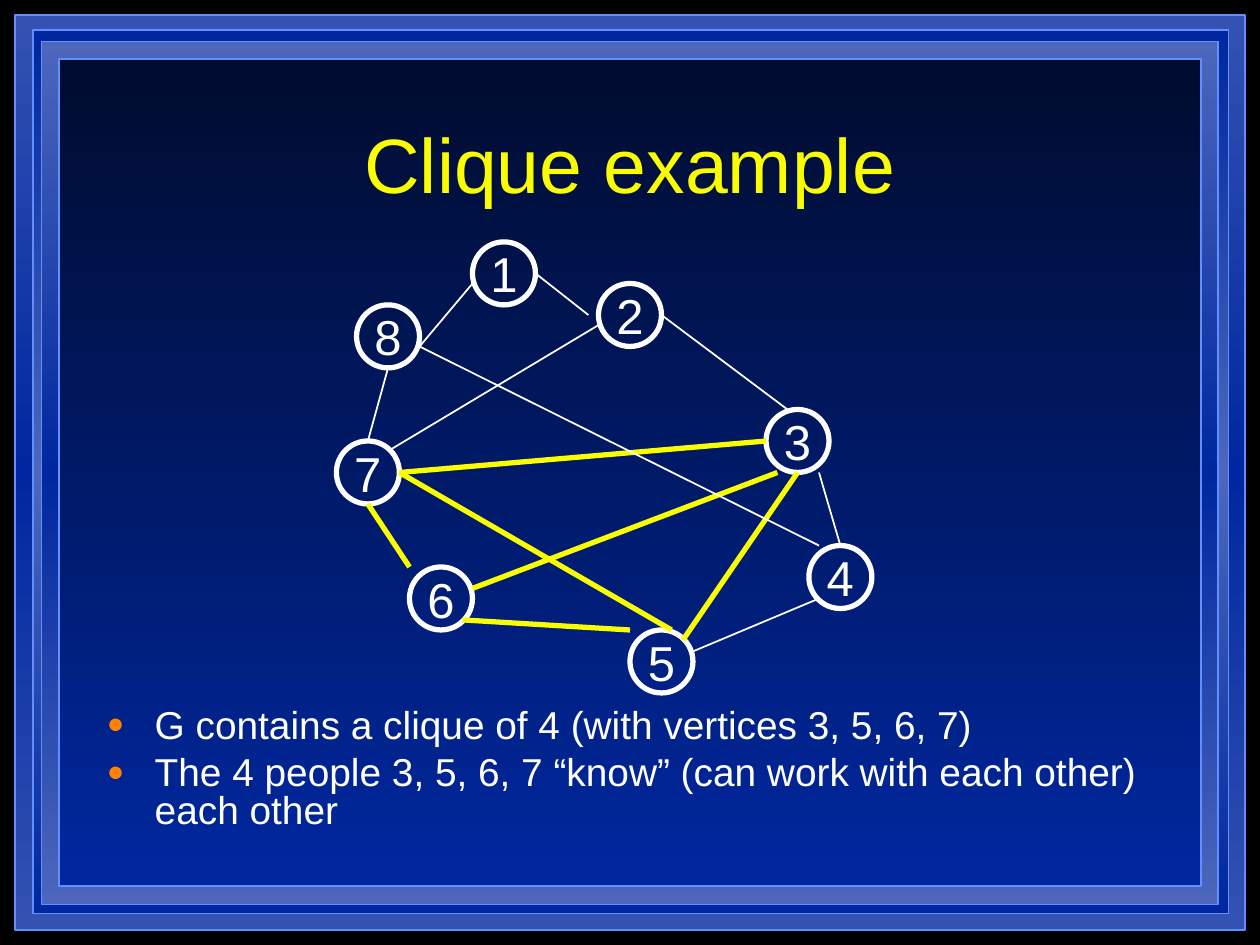
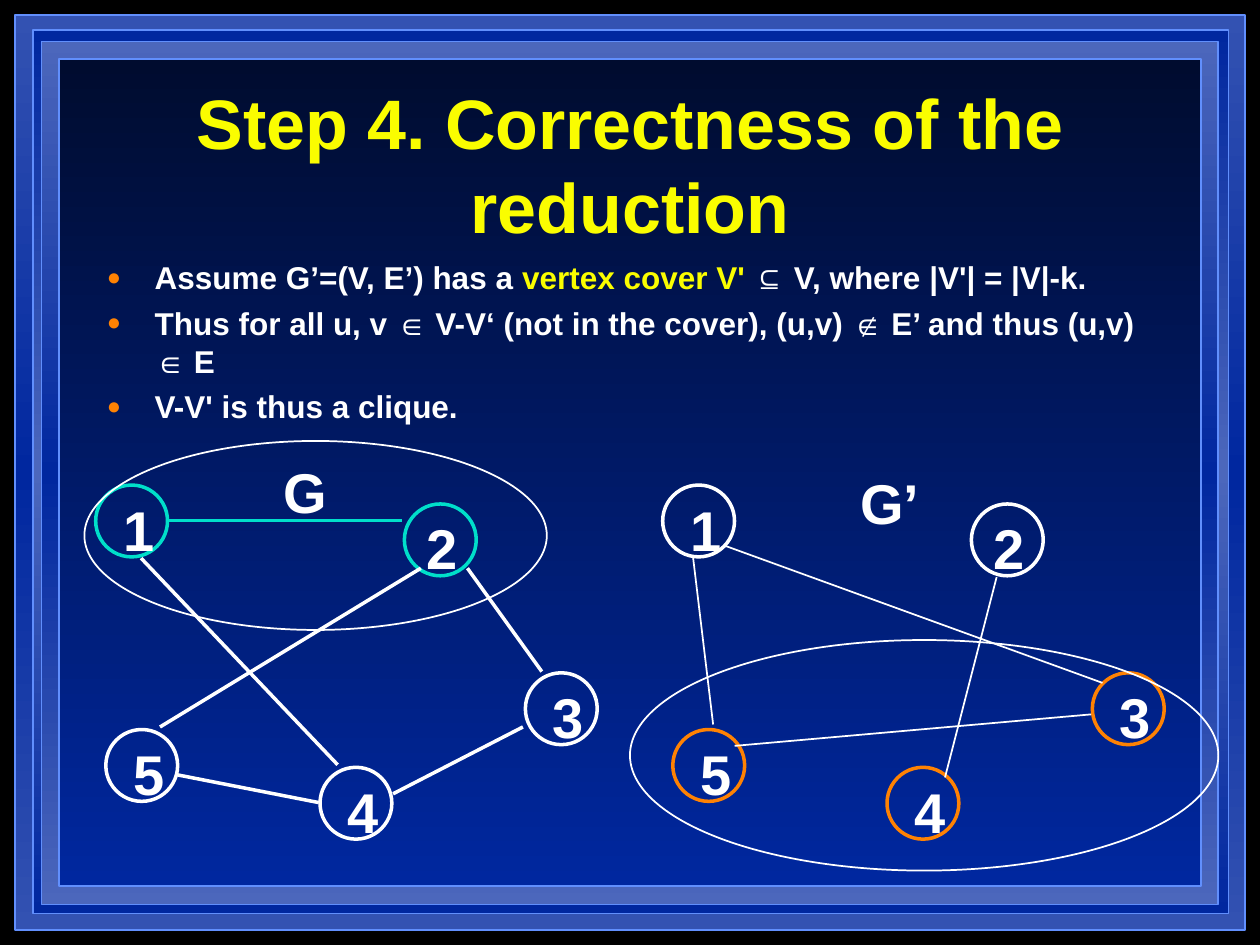
from copy import deepcopy
from pptx import Presentation
from pptx.dml.color import RGBColor
from pptx.enum import shapes as es, text as et
from pptx.oxml import ns, xmlchemy as xc
from pptx.util import Inches, Pt

BLACK = RGBColor(0x00, 0x00, 0x00)
WHITE = RGBColor(0xFF, 0xFF, 0xFF)
YELLOW = RGBColor(0xFA, 0xFD, 0x00)
ORANGE = RGBColor(0xFF, 0x82, 0x03)
TEAL = RGBColor(0x00, 0xDF, 0xCA)
RIM = RGBColor(0x61, 0x8F, 0xFD)
NAVY = RGBColor(0x00, 0x0C, 0x2F)
BLUE = RGBColor(0x00, 0x27, 0x9F)
MID = RGBColor(0x33, 0x52, 0xB2)
PALE = RGBColor(0x4C, 0x67, 0xBC)
FONT = "Arial"

BANDS = [
    ((0.12, 0.12, 9.76, 7.26), (MID, BLUE, MID)),
    ((0.26, 0.24, 9.49, 7.01), (BLUE, PALE, BLUE)),
    ((0.33, 0.33, 9.34, 6.85), (PALE, BLUE, PALE)),
    ((0.47, 0.47, 9.06, 6.56), (NAVY, BLUE)),
]

CLIQUE = {
    "title": "Clique example",
    "points": [
        [("G contains a clique of 4 (with vertices 3, 5, 6, 7)", WHITE, 22.2)],
        [("The 4 people 3, 5, 6, 7 “know” (can work with each other) each other",
          WHITE, 22.2)],
    ],
    "nodes": {"1": (3.75, 1.92), "2": (4.75, 2.25), "3": (6.08, 3.25),
              "4": (6.42, 4.33), "5": (5, 5), "6": (3.25, 4.5),
              "7": (2.67, 3.5), "8": (2.83, 2.42)},
    "bold": [
        ((3.17, 3.75), (6.08, 3.5)), ((3.67, 4.92), (5, 5)),
        ((2.92, 4), (3.25, 4.5)), ((6.33, 3.75), (5.42, 5.08)),
        ((3.17, 3.75), (5.33, 5)), ((6.17, 3.75), (3.75, 4.67)),
    ],
    "thin": [
        ((6.5, 3.75), (6.67, 4.33)), ((6.5, 4.75), (5.5, 5.17)),
        ((3.08, 2.92), (2.92, 3.5)), ((3.33, 2.75), (3.75, 2.25)),
        ((4.25, 2.17), (4.67, 2.5)), ((5.25, 2.5), (6.25, 3.25)),
        ((3.33, 2.75), (6.5, 4.33)), ((4.75, 2.58), (3.08, 3.58)),
    ],
}

PROOF = {
    "title": "Step 4. Correctness of the reduction",
    "points": [
        [("Assume G’=(V, E’) has a ", WHITE, 18), ("vertex cover V' ", YELLOW, 18),
         ("⊆ V, where |V'| = |V|-k.", WHITE, 18)],
        [("Thus for all u, v ∈", WHITE, 18), (" ", WHITE, 16),
         ("V-V‘ (not in the cover), (u,v) ∉", WHITE, 18), (" ", WHITE, 16),
         ("E’ and thus (u,v) ∈", WHITE, 18), (" ", WHITE, 16), ("E", WHITE, 18)],
        [("V-V' is thus a clique.", WHITE, 18)],
    ],
    "nodes": {"1": (0.76, 3.85), "2": (3.21, 4), "3": (4.17, 5.34),
              "4": (2.54, 6.09), "5": (0.84, 5.79)},
    "graphs": [
        {"name": "G", "at": (2.15, 3.58, 0.55), "shift": 0,
         "mark": "12", "tint": TEAL, "ring": (0.67, 3.5, 3.67, 1.5), "wide": 2,
         "edges": [
             ((3.71, 4.51), (4.3, 5.33), WHITE), ((4.15, 5.77), (3.12, 6.3), WHITE),
             ((1.41, 6.15), (2.53, 6.37), WHITE), ((1.12, 4.43), (2.68, 6.07), WHITE),
             ((1.27, 5.77), (3.34, 4.51), WHITE), ((1.34, 4.13), (3.19, 4.13), TEAL)]},
        {"name": "G’", "at": (6.73, 3.67, 0.67), "shift": 4.5,
         "mark": "345", "tint": ORANGE, "ring": (5, 5.08, 4.67, 1.83), "wide": 1,
         "edges": [
             ((5.5, 4.42), (5.66, 5.75), WHITE), ((7.91, 4.58), (7.5, 6.17), WHITE),
             ((5.75, 4.33), (8.75, 5.42), WHITE), ((8.66, 5.67), (5.83, 5.92), WHITE)]},
    ],
}


def box(at):
    return [Inches(v) for v in at]


def write(para, words, color, size, bold=False):
    run = para.add_run()
    run.text = words
    font = run.font
    font.name, font.size, font.bold = FONT, Pt(size), bold
    font.color.rgb = color


def paint(shape, color, width):
    shape.line.color.rgb = color
    shape.line.width = Pt(width)


def band(slide, at, tones):
    rect = slide.shapes.add_shape(es.MSO_SHAPE.RECTANGLE, *box(at))
    rect.shadow.inherit = False
    paint(rect, RIM, 1)
    rect.fill.gradient()
    rect.fill.gradient_angle = 270
    stops = rect.element.spPr.find(".//" + ns.qn("a:gsLst"))
    if len(tones) == 3:
        stops.insert(1, deepcopy(stops[0]))
    for i, (stop, tone) in enumerate(zip(rect.fill.gradient_stops, tones)):
        stop.position = i / (len(tones) - 1)
        stop.color.rgb = tone
    return rect.element


def frame(deck, slide):
    master = deck.slide_master
    back = master.background.fill
    back.solid()
    back.fore_color.rgb = BLACK
    tree = master.shapes.element
    for i, (at, tones) in enumerate(BANDS):
        tree.insert(2 + i, band(slide, at, tones))


def head(slide, words, size, bold):
    title = slide.shapes.title
    title.left, title.top, title.width, title.height = box((0.75, 0.67, 8.5, 1.25))
    area = title.text_frame
    area.auto_size = et.MSO_AUTO_SIZE.NONE
    area.vertical_anchor = et.MSO_ANCHOR.MIDDLE
    para = area.paragraphs[0]
    para.alignment = et.PP_ALIGN.CENTER
    write(para, words, YELLOW, size, bold)


def bullet(para):
    props = para._p.get_or_add_pPr()
    props.set("marL", str(Inches(0.38)))
    props.set("indent", str(Inches(-0.38)))
    for tag, key, value in [("buClr", None, None), ("buSzPct", "val", "75000"),
                            ("buFont", "typeface", FONT), ("buChar", "char", "●")]:
        part = xc.OxmlElement("a:" + tag)
        if key:
            part.set(key, value)
        else:
            tone = xc.OxmlElement("a:srgbClr")
            tone.set("val", str(ORANGE))
            part.append(tone)
        props.append(part)


def body(slide, at, points, gap, pitch, bold):
    area = slide.shapes.add_textbox(*box(at)).text_frame
    area.word_wrap = True
    for i, runs in enumerate(points):
        para = area.add_paragraph() if i else area.paragraphs[0]
        para.space_before = Pt(gap)
        para.line_spacing = pitch
        bullet(para)
        for words, color, size in runs:
            write(para, words, color, size, bold)


def oval(slide, at, color, width):
    ring = slide.shapes.add_shape(es.MSO_SHAPE.OVAL, *box(at))
    ring.shadow.inherit = False
    ring.fill.background()
    paint(ring, color, width)
    return ring


def edge(slide, start, end, color, width):
    line = slide.shapes.add_connector(
        es.MSO_CONNECTOR.STRAIGHT, *box(start + end))
    paint(line, color, width)
    line.element.spPr.append(xc.OxmlElement("a:effectLst"))


def label(slide, x, y, wide, words):
    area = slide.shapes.add_textbox(*box((x, y, wide, 0.63))).text_frame
    area.word_wrap = False
    area.auto_size = et.MSO_AUTO_SIZE.SHAPE_TO_FIT_TEXT
    write(area.paragraphs[0], words, WHITE, 32, True)


def clique(slide):
    head(slide, CLIQUE["title"], 44, False)
    body(slide, (0.75, 5.58, 8.5, 1.08), CLIQUE["points"], 6, 0.8, False)
    for name, (x, y) in CLIQUE["nodes"].items():
        area = oval(slide, (x, y, 0.5, 0.5), WHITE, 3).text_frame
        area.word_wrap = False
        area.vertical_anchor = et.MSO_ANCHOR.MIDDLE
        area.paragraphs[0].alignment = et.PP_ALIGN.CENTER
        write(area.paragraphs[0], name, WHITE, 28)
    for kind, color, width in [("bold", YELLOW, 3), ("thin", WHITE, 1)]:
        for start, end in CLIQUE[kind]:
            edge(slide, start, end, color, width)


def proof(slide):
    head(slide, PROOF["title"], 40, True)
    body(slide, (0.75, 2, 8.5, 5.08), PROOF["points"], 4.5, 1.0, True)
    for graph in PROOF["graphs"]:
        for name, (x, y) in PROOF["nodes"].items():
            x += graph["shift"]
            color = graph["tint"] if name in graph["mark"] else WHITE
            oval(slide, (x, y, 0.57, 0.57), color, 2)
            inset = 0.08 if name == "2" else 0.12
            label(slide, x + inset, y + 0.03, 0.45, name)
        label(slide, *graph["at"], graph["name"])
        for start, end, color in graph["edges"]:
            edge(slide, start, end, color, graph["wide"])
        oval(slide, graph["ring"], WHITE, 1)


def main():
    deck = Presentation()
    deck.slide_width, deck.slide_height = Inches(10), Inches(7.5)
    first, second = [deck.slides.add_slide(deck.slide_layouts[5]) for _ in range(2)]
    frame(deck, first)
    clique(first)
    proof(second)
    deck.save("out.pptx")


if __name__ == "__main__":
    main()
